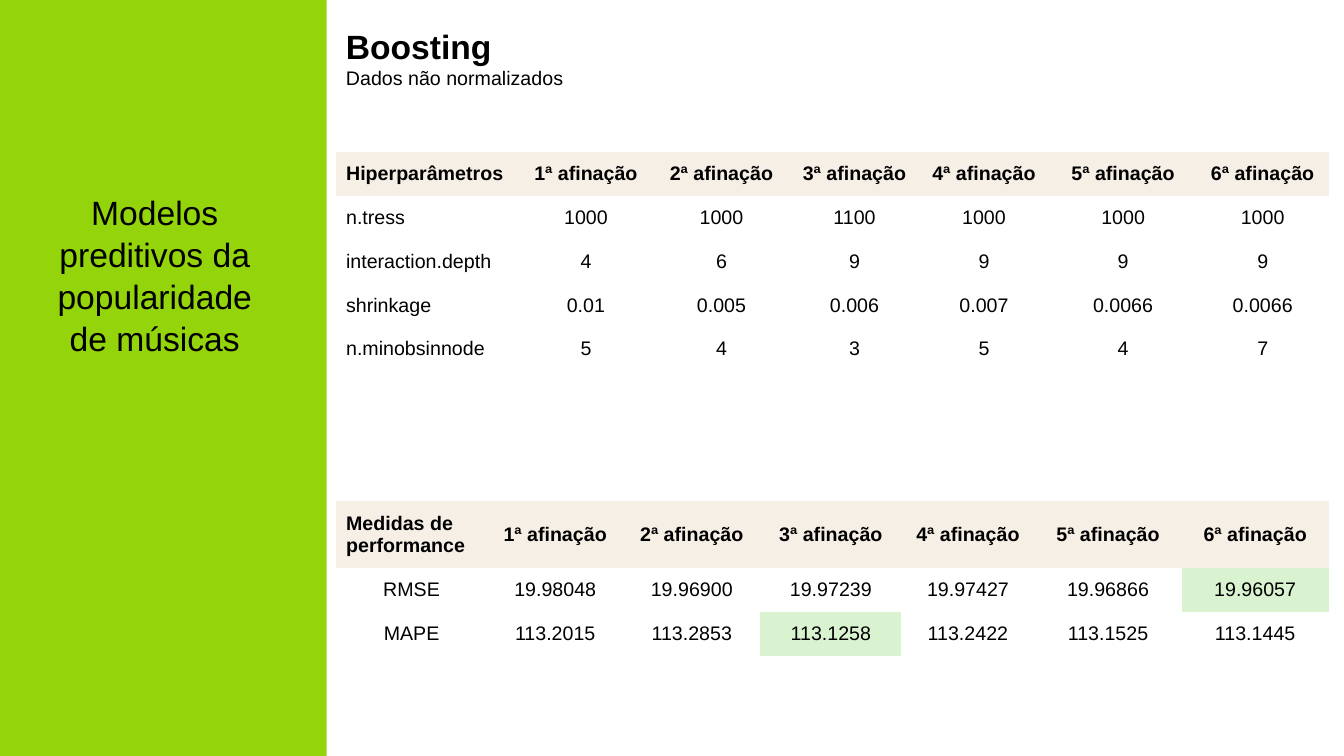
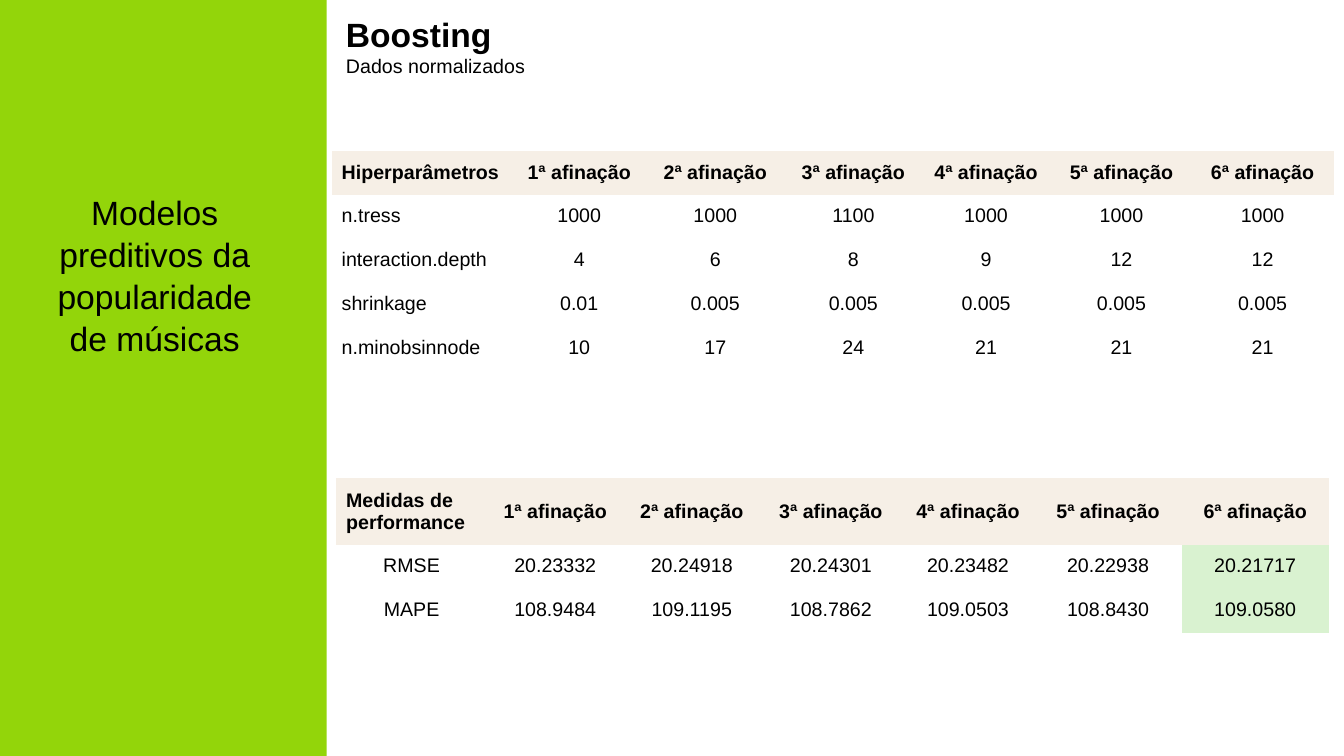
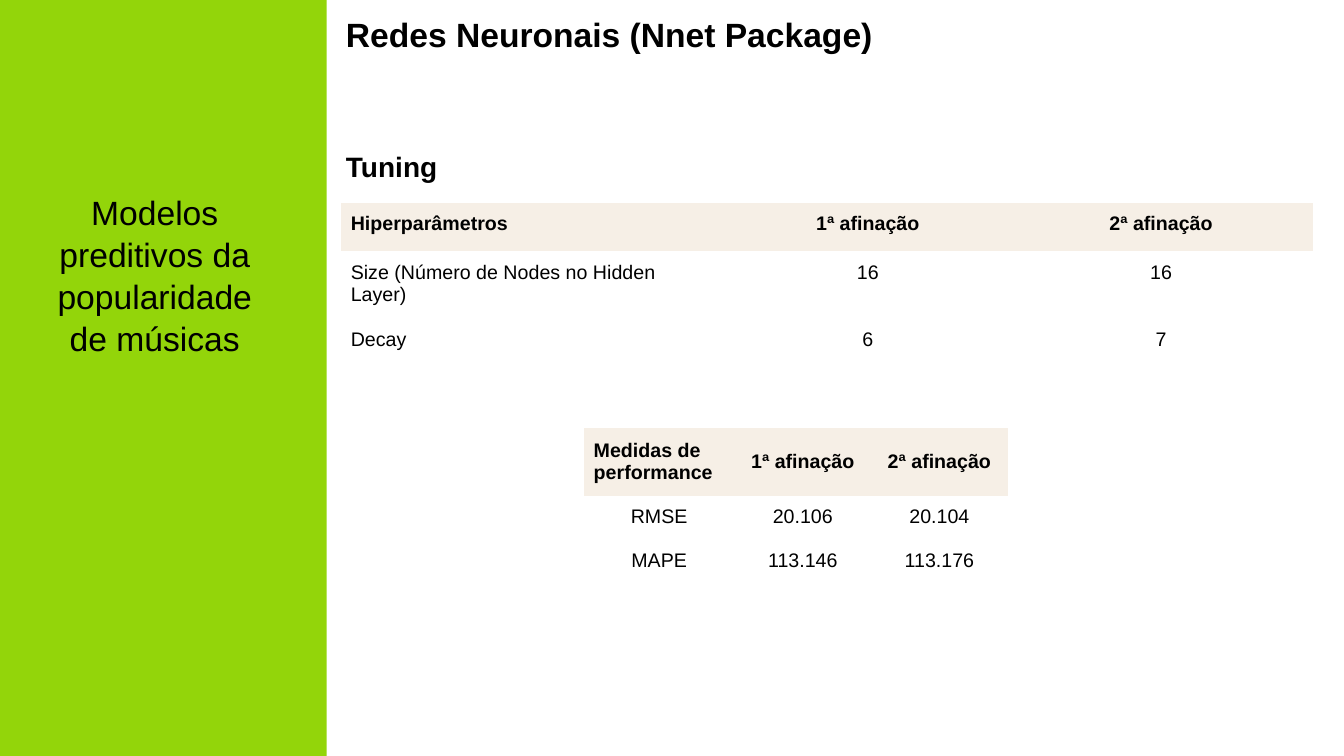
import pptx
import pptx.dml.color
import pptx.enum.shapes
import pptx.enum.text
import pptx.oxml.ns
import pptx.util

COLORS = {"panel": "93D50A", "text": "000000", "header": "F6EFE6", "best": "D9F2D0"}
FONT = "Arial"
GRID_COLUMNS, GRID_ROWS = 40, 30
PLAIN_TABLE_STYLE = "{2D5ABB26-0587-4C30-8999-92F81FD0307C}"
TOP = pptx.enum.text.MSO_ANCHOR.TOP
MIDDLE = pptx.enum.text.MSO_ANCHOR.MIDDLE
LEFT = pptx.enum.text.PP_ALIGN.LEFT
CENTER = pptx.enum.text.PP_ALIGN.CENTER

SECTION = "Modelos preditivos da popularidade de músicas"
CONTENT_LEFT = 10
ROW_HEIGHT = 1.73
TALL_HEADER = 2.66
MEASURE_WIDTHS = [4.5, 4.05, 4.08, 4.2, 3.96, 4.38, 4.38]


def color(name):
    return pptx.dml.color.RGBColor.from_string(COLORS[name])


class Deck:
    """Shared style and the current slide; lengths are in grid columns and rows."""

    def __init__(self):
        self.presentation = pptx.Presentation()
        self.presentation.slide_width = pptx.util.Inches(13.33)
        self.presentation.slide_height = pptx.util.Inches(7.5)
        self.slide = None

    def across(self, columns):
        return round(self.presentation.slide_width * columns / GRID_COLUMNS)

    def down(self, rows):
        return round(self.presentation.slide_height * rows / GRID_ROWS)

    def box(self, left, top, width, height):
        return self.across(left), self.down(top), self.across(width), self.down(height)

    def style(self, paragraph, size, bold=False, alignment=LEFT):
        paragraph.alignment = alignment
        font = paragraph.font
        font.name, font.size, font.bold = FONT, pptx.util.Pt(size), bold
        font.color.rgb = color("text")

    def new_slide(self, title, title_top, subtitle=None):
        self.slide = self.presentation.slides.add_slide(self.presentation.slide_layouts[6])
        self.panel()
        lines = [(title, 24, True)]
        if subtitle:
            lines.append((subtitle, 14, False))
        self.text(lines, CONTENT_LEFT, title_top, 22, 2.96 if subtitle else 2)

    def panel(self):
        shape = self.slide.shapes.add_shape(
            pptx.enum.shapes.MSO_SHAPE.RECTANGLE, *self.box(0, 0, 9.72, GRID_ROWS))
        shape.shadow.inherit = False
        shape.fill.solid()
        shape.fill.fore_color.rgb = color("panel")
        shape.line.fill.background()
        self.text([(SECTION, 24, False)], 0.93, 7.32, 7.35, 6.88, CENTER, 1.05)

    def text(self, lines, left, top, width, height, alignment=LEFT, spacing=None):
        """Add a text box with one paragraph for each (text, size, bold)."""
        frame = self.slide.shapes.add_textbox(*self.box(left, top, width, height)).text_frame
        frame.word_wrap = True
        frame.auto_size = pptx.enum.text.MSO_AUTO_SIZE.SHAPE_TO_FIT_TEXT
        frame.text = "\n".join(text for text, _, _ in lines)
        for paragraph, (_, size, bold) in zip(frame.paragraphs, lines):
            self.style(paragraph, size, bold, alignment)
            paragraph.line_spacing = spacing

    def table(self, left, top, widths, rows, row_height=ROW_HEIGHT, header_height=None,
              header_anchor=TOP, body_anchor=TOP, label_alignment=LEFT, best=()):
        """Add a table of a label column and tuning runs; best lists (row, column)."""
        heights = [header_height or row_height] + [row_height] * (len(rows) - 1)
        frame = self.slide.shapes.add_table(
            len(rows), len(widths), *self.box(left, top, sum(widths), sum(heights)))
        table = frame.table
        table.first_row = table.horz_banding = False
        for style_id in frame.element.iter(pptx.oxml.ns.qn("a:tableStyleId")):
            style_id.text = PLAIN_TABLE_STYLE
        for column, width in zip(table.columns, widths):
            column.width = self.across(width)
        for row, height in zip(table.rows, heights):
            row.height = self.down(height)
        for row_index, values in enumerate(rows):
            is_header = row_index == 0
            for column_index, value in enumerate(values):
                cell = table.cell(row_index, column_index)
                cell.margin_left = cell.margin_right = pptx.util.Inches(0.1)
                cell.margin_top = cell.margin_bottom = pptx.util.Inches(0.1)
                cell.vertical_anchor = header_anchor if is_header else body_anchor
                fill = "header" if is_header else "best"
                if is_header or (row_index, column_index) in best:
                    cell.fill.solid()
                    cell.fill.fore_color.rgb = color(fill)
                else:
                    cell.fill.background()
                cell.text = value
                is_label = column_index == 0
                alignment = CENTER
                if is_label:
                    alignment = LEFT if is_header else label_alignment
                self.style(cell.text_frame.paragraphs[0], 14, is_header, alignment)

    def hyperparameters(self, left, top, widths, rows, **options):
        self.table(left, top, widths, [header("Hiperparâmetros", len(widths) - 1)] + rows,
                   **options)

    def measures(self, left, top, rmse, mape, **options):
        rows = [header("Medidas de performance", len(rmse)), ["RMSE"] + rmse, ["MAPE"] + mape]
        self.table(left, top, MEASURE_WIDTHS[:len(rmse) + 1], rows, header_height=TALL_HEADER,
                   header_anchor=MIDDLE, label_alignment=CENTER, **options)


def header(label, runs):
    return [label] + [f"{number}ª afinação" for number in range(1, runs + 1)]


def main():
    deck = Deck()

    deck.new_slide("Boosting", 0.84, "Dados não normalizados")
    deck.hyperparameters(
        CONTENT_LEFT, 6.04, [5.46, 3.96, 4.11, 3.81, 3.9, 4.38, 3.93],
        [["n.tress", "1000", "1000", "1100", "1000", "1000", "1000"],
         ["interaction.depth", "4", "6", "9", "9", "9", "9"],
         ["shrinkage", "0.01", "0.005", "0.006", "0.007", "0.0066", "0.0066"],
         ["n.minobsinnode", "5", "4", "3", "5", "4", "7"]],
        header_anchor=MIDDLE, body_anchor=MIDDLE)
    deck.measures(
        CONTENT_LEFT, 19.88,
        ["19.98048", "19.96900", "19.97239", "19.97427", "19.96866", "19.96057"],
        ["113.2015", "113.2853", "113.1258", "113.2422", "113.1525", "113.1445"],
        body_anchor=MIDDLE, best=[(1, 6), (2, 3)])

    deck.new_slide("Boosting", 0.36, "Dados normalizados")
    deck.hyperparameters(
        9.87, 6, [5.42, 3.9, 4.2, 4.02, 3.88, 4.18, 4.22],
        [["n.tress", "1000", "1000", "1100", "1000", "1000", "1000"],
         ["interaction.depth", "4", "6", "8", "9", "12", "12"],
         ["shrinkage", "0.01", "0.005", "0.005", "0.005", "0.005", "0.005"],
         ["n.minobsinnode", "10", "17", "24", "21", "21", "21"]])
    deck.measures(
        CONTENT_LEFT, 18.96,
        ["20.23332", "20.24918", "20.24301", "20.23482", "20.22938", "20.21717"],
        ["108.9484", "109.1195", "108.7862", "109.0503", "108.8430", "109.0580"],
        best=[(1, 6), (2, 6)])

    deck.new_slide("Redes Neuronais (Nnet Package)", 0.36)
    deck.text([("Tuning", 20, True)], CONTENT_LEFT, 5.72, 20, 1.76)
    deck.hyperparameters(
        10.14, 8.04, [11.49, 8.4, 9.06],
        [["Size (Número de Nodes no Hidden Layer)", "16", "16"], ["Decay", "6", "7"]],
        row_height=1.93)
    deck.measures(17.37, 17, ["20.106", "20.104"], ["113.146", "113.176"])

    deck.presentation.save("out.pptx")


if __name__ == "__main__":
    main()
